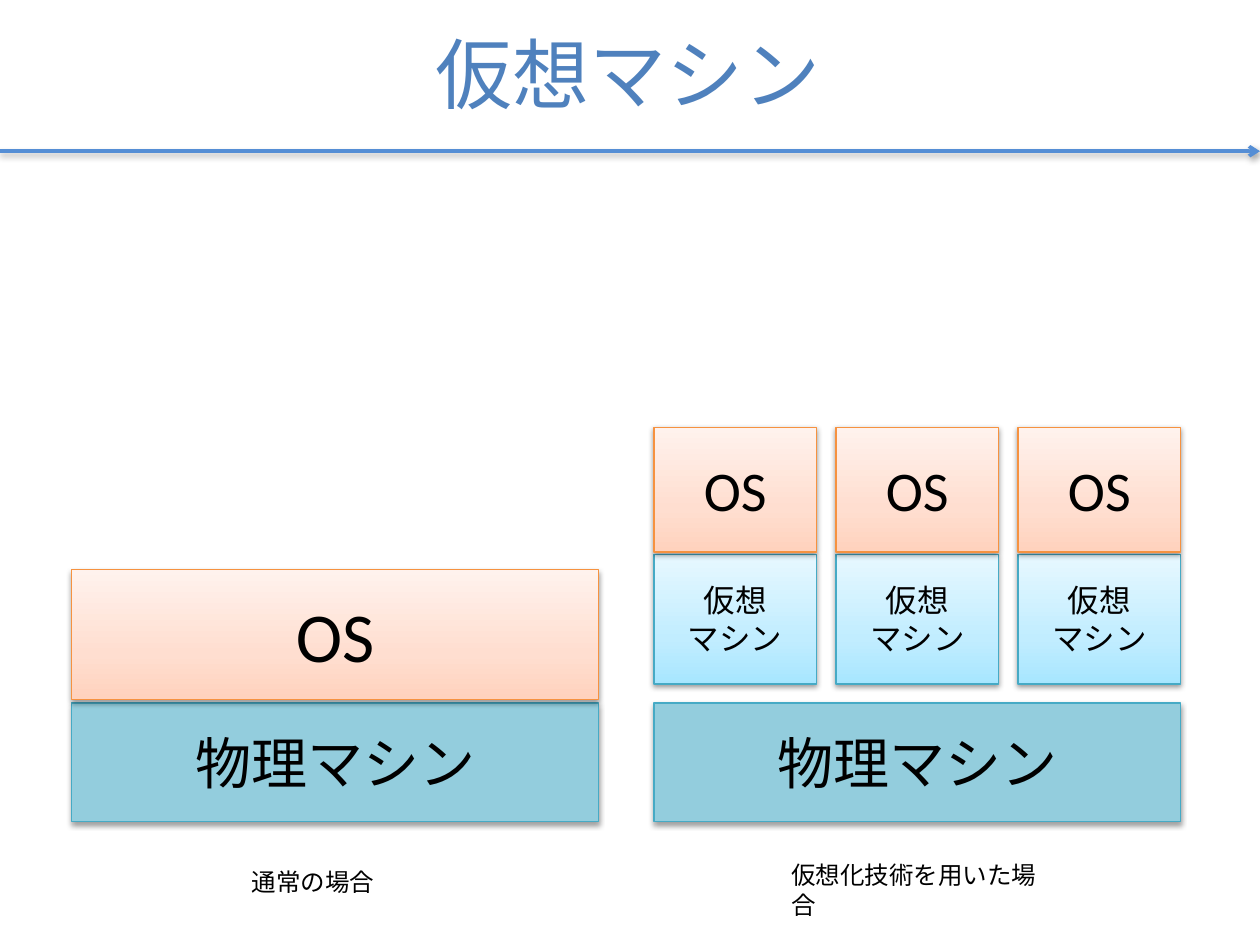
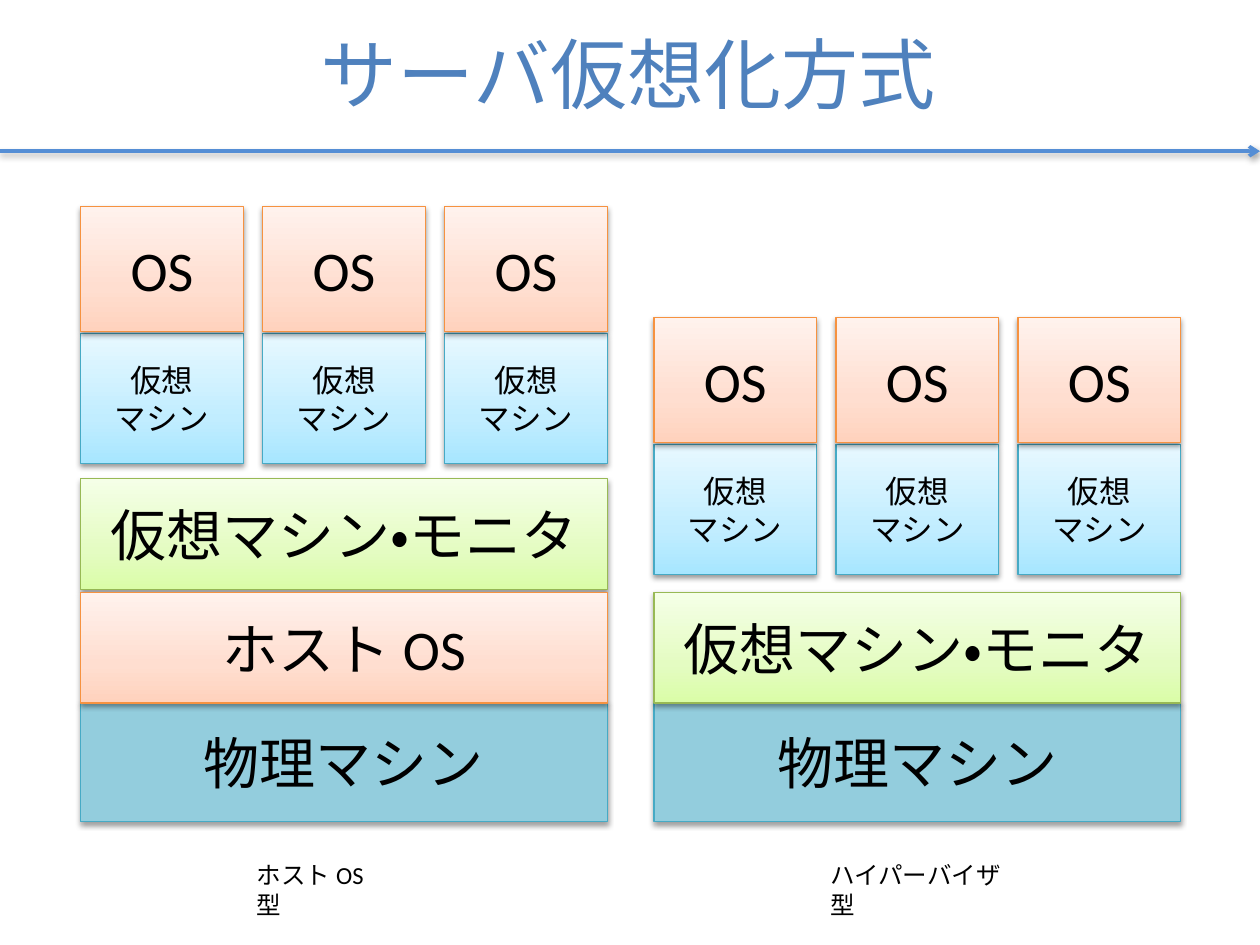
import pptx
import pptx.util
import pptx.dml.color
import pptx.enum.lang
import pptx.enum.shapes
import pptx.enum.text
import pptx.oxml
from dataclasses import dataclass
from pptx.util import Inches

NAMESPACE = 'xmlns:a="http://schemas.openxmlformats.org/drawingml/2006/main"'


@dataclass(frozen=True)
class Theme:
    font = "Calibri"
    title_color = "4F81BD"
    rule_color = "558ED5"
    text_color = "000000"
    caption_fill = "FFFFFF"
    title_size = 44
    large_size = 40
    layer_size = 32
    machine_size = 18
    caption_size = 14
    # Outline, then gradient stops from bottom to top (a single one is a solid fill)
    hardware = ("46AAC5", ["93CDDD"])
    machine = ("46AAC5", ["A7E6FF", "C1EDFF", "E7F8FF"])
    system = ("F69240", ["FFD2BD", "FFDED0", "FFF2ED"])
    monitor = ("98B955", ["DAFDA7", "E4FCC2", "F5FFE7"])


theme = Theme()
rgb = pptx.dml.color.RGBColor.from_string

SHADOW = (f'<a:effectLst {NAMESPACE}><a:outerShdw blurRad="40000" dist="20000" dir="5400000" '
          'rotWithShape="0"><a:srgbClr val="000000"><a:alpha val="38000"/></a:srgbClr>'
          '</a:outerShdw></a:effectLst>')
STACK_WIDTH = 4.18
MACHINE_WIDTH = 1.29
MACHINE_PITCH = (STACK_WIDTH - MACHINE_WIDTH) / 2
HARDWARE_TOP = 5.58


def write_text(shape, text, size, color=theme.text_color):
    paragraph = shape.text_frame.paragraphs[0]
    paragraph.text = text
    for run in paragraph.runs:
        run.font.name = theme.font
        run.font.size = pptx.util.Pt(size)
        run.font.color.rgb = rgb(color)
        run.font.language_id = pptx.enum.lang.MSO_LANGUAGE_ID.JAPANESE
    return paragraph


def add_block(slide, left, top, width, height, text, size, look):
    """Add a shadowed box with centred text in one of the theme's looks."""
    outline, stops = look
    shape = slide.shapes.add_shape(pptx.enum.shapes.MSO_SHAPE.RECTANGLE, Inches(left),
                                   Inches(top), Inches(width), Inches(height))
    shape.line.color.rgb = rgb(outline)
    shape.line.width = pptx.util.Pt(0.75)
    properties = shape.element.spPr
    if len(stops) == 1:
        shape.fill.solid()
        shape.fill.fore_color.rgb = rgb(stops[0])
    else:
        stop_list = "".join(f'<a:gs pos="{position}"><a:srgbClr val="{color}"/></a:gs>'
                            for position, color in zip((0, 35000, 100000), stops))
        properties.insert(2, pptx.oxml.parse_xml(
            f'<a:gradFill {NAMESPACE} rotWithShape="1"><a:gsLst>{stop_list}</a:gsLst>'
            '<a:lin ang="16200000" scaled="0"/></a:gradFill>'))
    properties.append(pptx.oxml.parse_xml(SHADOW))
    shape.text_frame.word_wrap = False
    shape.text_frame.vertical_anchor = pptx.enum.text.MSO_ANCHOR.MIDDLE
    write_text(shape, text, size).alignment = pptx.enum.text.PP_ALIGN.CENTER


# Layers are (top, height, text, size, look), listed from the hardware upwards.
hardware_layer = (HARDWARE_TOP, 0.94, "物理マシン", theme.layer_size, theme.hardware)
monitor_text = "仮想マシン・モニタ"
# Stacks are (left, layers, top of the virtual machines, caption);
# captions are (left, top, width, text).
slides = [
    ("仮想マシン", [
        (0.57, [hardware_layer, (4.52, 1.03, "OS", theme.large_size, theme.system)],
         None, (1.9, 6.83, 1.18, "通常の場合")),
        (5.19, [hardware_layer], 4.4, (6.18, 6.78, 2.31, "仮想化技術を用いた場合")),
    ]),
    ("サーバ仮想化方式", [
        (0.64, [hardware_layer,
                (3.8, 0.88, monitor_text, theme.layer_size, theme.monitor),
                (4.7, 0.88, "ホスト OS", theme.layer_size, theme.system)],
         2.65, (1.94, 6.78, 1.19, "ホスト OS 型")),
        (5.19, [hardware_layer, (4.7, 0.88, monitor_text, theme.layer_size, theme.monitor)],
         3.53, (6.49, 6.78, 1.7, "ハイパーバイザ型")),
    ]),
]

presentation = pptx.Presentation()
presentation.slide_width = Inches(10)
presentation.slide_height = Inches(7.5)
layout = presentation.slide_layouts.get_by_name("Title Only")
layout_title = layout.placeholders[0]
layout_title.left, layout_title.top = Inches(0.18), Inches(0)
layout_title.width, layout_title.height = Inches(9.61), Inches(1.15)

for title, stacks in slides:
    slide = presentation.slides.add_slide(layout)
    heading = write_text(slide.shapes.title, title, theme.title_size, theme.title_color)
    heading.alignment = pptx.enum.text.PP_ALIGN.CENTER
    slide.shapes.title.text_frame.vertical_anchor = pptx.enum.text.MSO_ANCHOR.MIDDLE

    for left, layers, machine_top, caption in stacks:
        for top, height, text, size, look in layers:
            add_block(slide, left, top, STACK_WIDTH, height, text, size, look)
        if machine_top is not None:
            for column in range(3):
                column_left = left + column * MACHINE_PITCH
                add_block(slide, column_left, machine_top, MACHINE_WIDTH, 1.03,
                          "仮想\nマシン", theme.machine_size, theme.machine)
                add_block(slide, column_left, machine_top - 1.01, MACHINE_WIDTH, 0.99,
                          "OS", theme.layer_size, theme.system)

        caption_left, caption_top, caption_width, caption_text = caption
        box = slide.shapes.add_textbox(Inches(caption_left), Inches(caption_top),
                                       Inches(caption_width), Inches(0.34))
        box.fill.solid()
        box.fill.fore_color.rgb = rgb(theme.caption_fill)
        box.text_frame.word_wrap = True
        write_text(box, caption_text, theme.caption_size)

# The arrow under the title belongs to the layout, so every slide shows it.
arrow = presentation.slides[0].shapes.add_connector(
    pptx.enum.shapes.MSO_CONNECTOR.STRAIGHT, Inches(0), Inches(1.2), Inches(10), Inches(1.2))
arrow.line.color.rgb = rgb(theme.rule_color)
arrow.line.width = pptx.util.Pt(2)
arrow.line._get_or_add_ln().append(
    pptx.oxml.parse_xml(f'<a:tailEnd {NAMESPACE} type="arrow"/>'))
arrow.element.spPr.append(pptx.oxml.parse_xml(SHADOW))
layout.shapes.element.append(arrow.element)

presentation.save("out.pptx")
